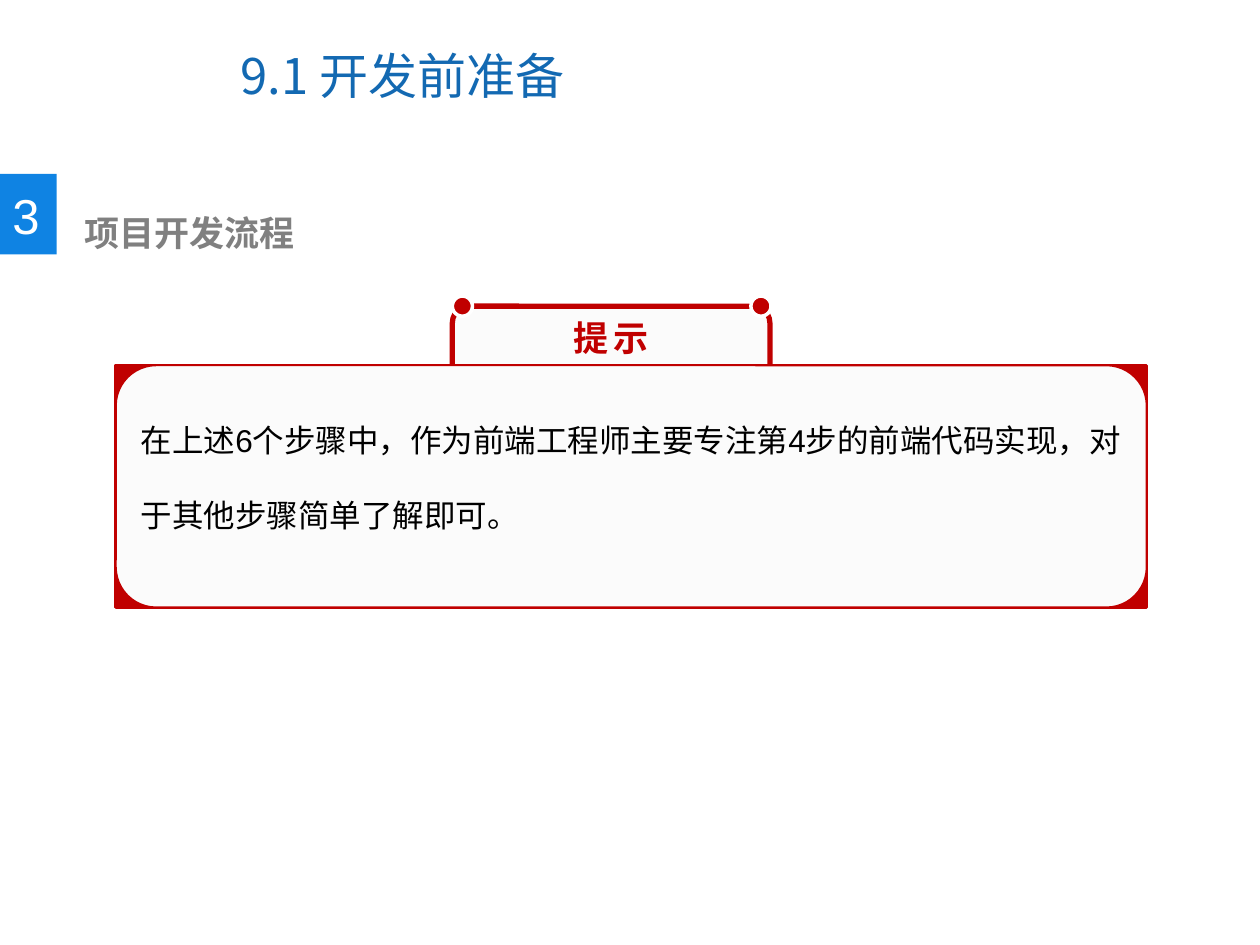
from dataclasses import dataclass
from typing import Optional

from lxml.etree import SubElement
from pptx import Presentation
from pptx.dml.color import RGBColor
from pptx.enum.shapes import MSO_SHAPE as Preset
from pptx.enum.text import MSO_ANCHOR as Anchor, MSO_AUTO_SIZE as AutoSize, PP_ALIGN as Align
from pptx.oxml.ns import qn
from pptx.util import Inches, Pt

LATIN, CJK = "Arial", "Noto Sans CJK SC"
RED, PALE, WHITE, BLUE = "C00000", "FBFBFB", "FFFFFF", "0F83E3"


@dataclass(frozen=True)
class Box:
    left: float
    top: float
    width: float
    height: float

    def lengths(self) -> list:
        return [Inches(v) for v in (self.left, self.top, self.width, self.height)]


def color(hex_value: str) -> RGBColor:
    return RGBColor.from_string(hex_value)


def write(frame, text: str, *, size: float, fill: str, font: str = LATIN,
          bold: bool = False, wrap: bool = True, align=Align.LEFT,
          anchor=Anchor.TOP, line_spacing: Optional[float] = None,
          tracking: float = 0) -> None:
    """Fill a text frame with one formatted paragraph."""
    frame.auto_size = AutoSize.NONE
    frame.word_wrap = wrap
    frame.vertical_anchor = anchor
    paragraph = frame.paragraphs[0]
    paragraph.alignment = align
    if line_spacing:
        paragraph.line_spacing = line_spacing
    run = paragraph.add_run()
    run.text = text
    run.font.size = Pt(size)
    run.font.bold = bold
    run.font.name = font
    run.font.color.rgb = color(fill)
    properties = run.font._element
    SubElement(properties, qn("a:ea")).set("typeface", CJK)
    if tracking:
        properties.set("spc", str(round(tracking * 100)))


def add_label(slide, box: Box, text: str, **text_format) -> None:
    label = slide.shapes.add_textbox(*box.lengths())
    write(label.text_frame, text, **text_format)


def add_panel(slide, preset, box: Box, fill: str,
              line: Optional[str] = None, line_width: float = 0) -> None:
    panel = slide.shapes.add_shape(preset, *box.lengths())
    panel.shadow.inherit = False
    panel.fill.solid()
    panel.fill.fore_color.rgb = color(fill)
    if line:
        panel.line.color.rgb = color(line)
        panel.line.width = Pt(line_width)
    else:
        panel.line.fill.background()


def main() -> None:
    deck = Presentation()
    deck.slide_width, deck.slide_height = Inches(10), Inches(7.5)
    slide = deck.slides.add_slide(deck.slide_layouts[5])

    # Title
    title = slide.shapes.title
    title.left, title.top, title.width, title.height = Box(1.81, 0.17, 5.16, 0.85).lengths()
    write(title.text_frame, "9.1 开发前准备", size=28, fill="1369B2", font=CJK,
          anchor=Anchor.MIDDLE)

    # Section number and heading
    add_panel(slide, Preset.RECTANGLE, Box(0, 1.38, 0.45, 0.64), BLUE)
    add_label(slide, Box(0, 1.42, 0.42, 0.57), "3", size=28, fill=WHITE, wrap=False)
    add_label(slide, Box(0.57, 1.63, 5.04, 0.44), "项目开发流程",
              size=20, fill="808080", bold=True)

    # Tip tab, behind the framed card
    tab = Box(3.59, 2.43, 2.52, 0.79)
    card = Box(0.92, 2.9, 8.18, 1.92)
    add_panel(slide, Preset.ROUNDED_RECTANGLE, tab, PALE, RED, 3)
    add_panel(slide, Preset.FLOWCHART_PROCESS, card, RED, RED, 2)
    add_panel(slide, Preset.FLOWCHART_ALTERNATE_PROCESS, card, PALE, RED, 1)

    # Pins on the tab's upper corners
    pin = 0.16
    for left in (tab.left, tab.left + tab.width - pin + 0.01):
        add_panel(slide, Preset.OVAL, Box(left, tab.top - pin / 2, pin, pin), RED, WHITE, 2)

    # Tip wording
    add_label(slide, Box(4.1, 2.46, 1.5, 0.44), "提示", size=20, fill=RED, font=CJK,
              bold=True, tracking=3, align=Align.CENTER)
    add_label(slide, Box(1.02, 2.99, 8.04, 1.31),
              "在上述6个步骤中，作为前端工程师主要专注第4步的前端代码实现，对于其他步骤简单了解即可。",
              size=18, fill="000000", line_spacing=2)

    deck.save("out.pptx")


if __name__ == "__main__":
    main()
